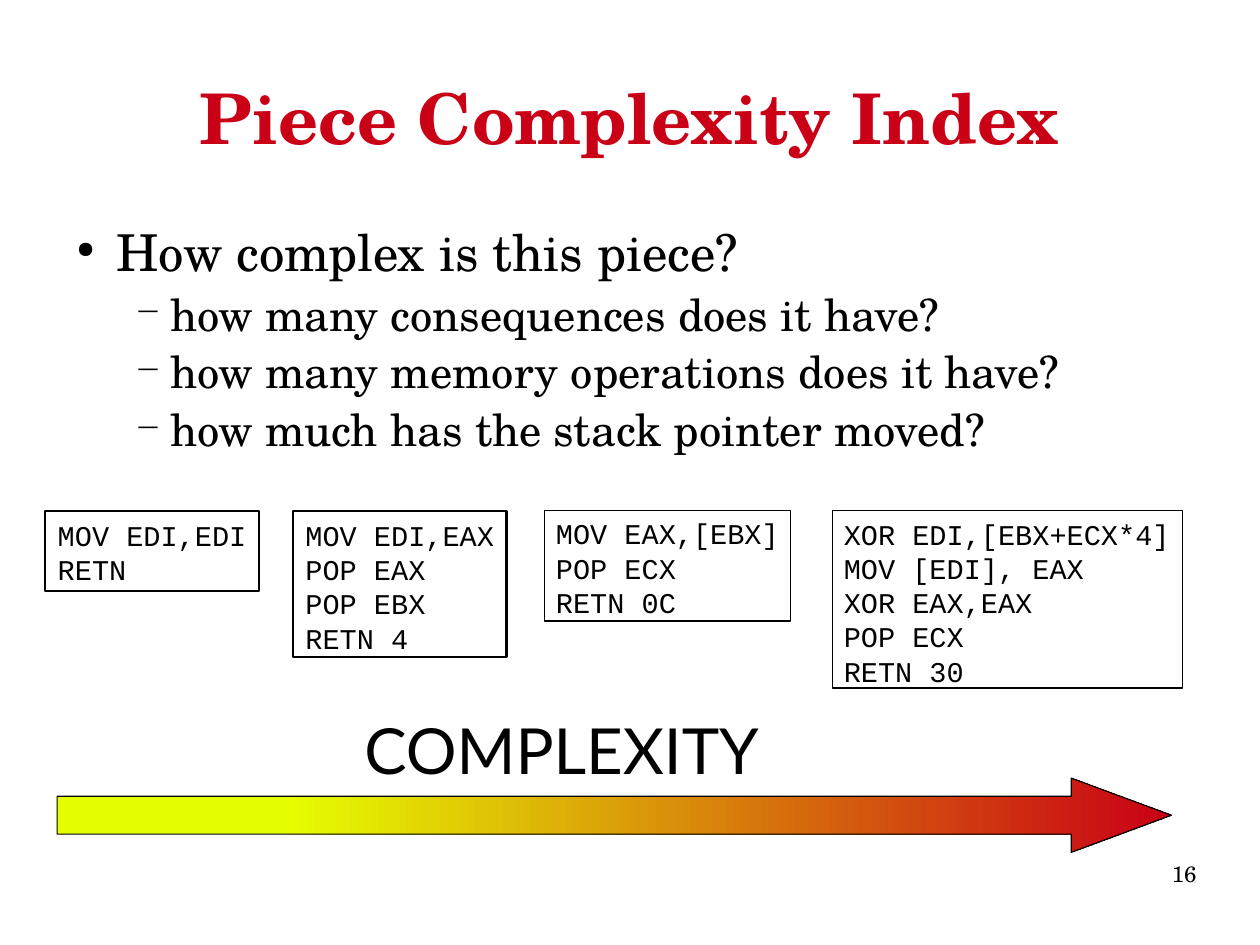
import pptx
import pptx.util
import pptx.dml.color
import pptx.enum.shapes
import pptx.enum.text
import lxml.etree

Pt = pptx.util.Pt
ALIGN = pptx.enum.text.PP_ALIGN
ANCHOR = pptx.enum.text.MSO_ANCHOR
SHAPE = pptx.enum.shapes.MSO_SHAPE

SERIF, MONO, SANS = "TeX Gyre Schola", "Courier New", "Lato"
BLACK, RED, YELLOW = "000000", "C90016", "E6FF00"
CODE_TOP = 321.75

QUESTIONS = [
    ("How complex is this piece?", 0),
    ("how many consequences does it have?", 1),
    ("how many memory operations does it have?", 1),
    ("how much has the stack pointer moved?", 1),
]
# Per level: text size, left margin, hanging indent, bullet, bullet size in percent
LEVELS = [(32, 33.84, 25.2, "●", 45), (28, 67.68, 22.32, "−", 75)]

# Left, width, height, line width, horizontal inset, vertical inset, code
PIECES = [
    (28.5, 134.64, 50.4, 1.45, 7.92, 4.32, "MOV EDI,EDI\nRETN"),
    (184.5, 134.64, 92, 1.45, 7.92, 4.32,
     "MOV EDI,EAX\nPOP EAX\nPOP EBX\nRETN 4"),
    (343.1, 154.8, 69.5, 0, 7.2, 3.6, "MOV EAX,[EBX]\nPOP ECX\nRETN 0C"),
    (524.5, 220.32, 111.6, 0, 7.2, 3.6,
     "XOR EDI,[EBX+ECX*4]\nMOV [EDI], EAX\nXOR EAX,EAX\nPOP ECX\nRETN 30"),
]


def rgb(value):
    return pptx.dml.color.RGBColor.from_string(value)


def format_runs(p, size, font, color=BLACK, bold=False):
    for r in p.runs:
        r.font.size = Pt(size)
        r.font.name = font
        r.font.bold = bold
        r.font.color.rgb = rgb(color)


def set_frame(tf, inset_x, inset_y, anchor=ANCHOR.TOP, wrap=True):
    tf.margin_left = tf.margin_right = Pt(inset_x)
    tf.margin_top = tf.margin_bottom = Pt(inset_y)
    tf.vertical_anchor = anchor
    tf.word_wrap = wrap


def add_text(s, box, text, size, font, color=BLACK, bold=False,
             align=ALIGN.LEFT, anchor=ANCHOR.TOP, insets=(0, 0)):
    tf = s.shapes.add_textbox(*map(Pt, box)).text_frame
    set_frame(tf, *insets, anchor=anchor)
    tf.text = text
    for p in tf.paragraphs:
        p.alignment = align
        format_runs(p, size, font, color, bold)
    return tf


def add_bullet(p, margin, hanging, char, percent):
    pPr = p._p.get_or_add_pPr()
    pPr.set("marL", str(Pt(margin)))
    pPr.set("indent", str(-Pt(hanging)))
    ns = pPr.nsmap["a"]
    for tag, name, value in (("buSzPct", "val", str(percent * 1000)),
                             ("buChar", "char", char)):
        lxml.etree.SubElement(pPr, f"{{{ns}}}{tag}").set(name, value)


def add_questions(s, box):
    tf = add_text(s, box, "\n".join(q for q, _ in QUESTIONS), 32, SERIF)
    for p, (_, level) in zip(tf.paragraphs, QUESTIONS):
        size, *bullet = LEVELS[level]
        p.level = level
        p.space_after = Pt(2.9)
        format_runs(p, size, SERIF)
        add_bullet(p, *bullet)


def add_outlined(s, kind, box, line_width):
    sp = s.shapes.add_shape(kind, *map(Pt, box))
    sp.shadow.inherit = False
    sp.line.color.rgb = rgb(BLACK)
    sp.line.width = Pt(line_width)
    return sp


def add_piece(s, left, width, height, line_width, inset_x, inset_y, code):
    sp = add_outlined(s, SHAPE.RECTANGLE, (left, CODE_TOP, width, height),
                      line_width)
    sp.fill.background()
    tf = sp.text_frame
    set_frame(tf, inset_x, inset_y, wrap=False)
    tf.text = code
    for p in tf.paragraphs:
        p.alignment = ALIGN.LEFT
        format_runs(p, 18, MONO)


def add_gradient_arrow(s, box):
    sp = add_outlined(s, SHAPE.RIGHT_ARROW, box, 0)
    sp.adjustments[0] = 0.51
    sp.adjustments[1] = 1.35
    sp.fill.gradient()
    sp.fill.gradient_angle = 0
    for stop, position, color in zip(sp.fill.gradient_stops, (0.2, 1),
                                     (YELLOW, RED)):
        stop.position = position
        stop.color.rgb = rgb(color)


def main():
    prs = pptx.Presentation()
    prs.slide_width, prs.slide_height = Pt(793.75), Pt(595.25)
    s = prs.slides.add_slide(prs.slide_layouts[6])

    # Title and questions
    add_text(s, (39.6, 23.76, 714.24, 99.36), "Piece Complexity Index", 44,
             SERIF, RED, True, ALIGN.CENTER, ANCHOR.MIDDLE)
    add_questions(s, (39.6, 139.2, 714.24, 167.04))

    # Code pieces, from simple to complex
    for piece in PIECES:
        add_piece(s, *piece)

    # Complexity scale
    add_gradient_arrow(s, (36, 490.1, 702, 46.8))
    add_text(s, (222.48, 444.24, 292.32, 69.12), "COMPLEXITY", 40, SANS,
             insets=(7.2, 3.6))

    # Page number
    add_text(s, (568.8, 542.16, 185.04, 41.04), "16", 14, SERIF,
             align=ALIGN.RIGHT)

    prs.save("out.pptx")


if __name__ == "__main__":
    main()
